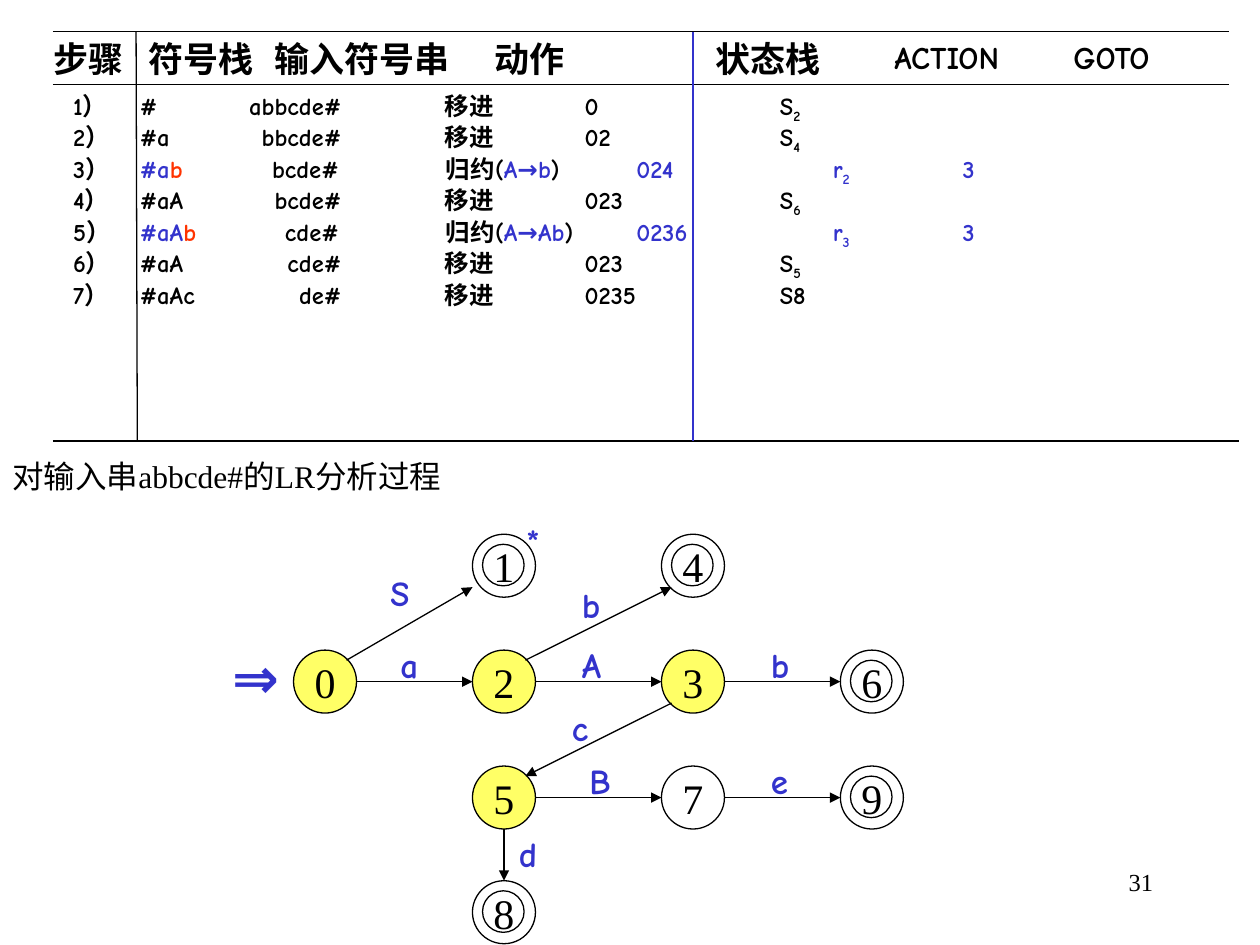
from pptx import Presentation
from pptx.dml.color import RGBColor
from pptx.enum.shapes import MSO_CONNECTOR, MSO_SHAPE
from pptx.enum.text import MSO_ANCHOR, MSO_AUTO_SIZE, PP_ALIGN
from pptx.oxml.ns import qn
from pptx.util import Inches, Pt
from lxml.etree import SubElement

COLORS = {"black": "000000", "blue": "3333CC", "red": "FF3300", "yellow": "FFFF66"}
SERIF, COMIC = "Times New Roman", "Comic Neue"

prs = Presentation()
prs.slide_width, prs.slide_height = Inches(10), Inches(7.5)
s = prs.slides.add_slide(prs.slide_layouts[6])


def add_text(box, runs, size, font=COMIC, bold=True, wrap=True):
    """Add a text box; runs are (text, colour, is subscript)."""
    tf = s.shapes.add_textbox(*map(Inches, box)).text_frame
    tf.word_wrap = wrap
    tf.auto_size = MSO_AUTO_SIZE.SHAPE_TO_FIT_TEXT
    for text, color, sub in runs:
        r = tf.paragraphs[0].add_run()
        r.text = text
        for name, value in {"name": font, "size": Pt(size), "bold": bold}.items():
            setattr(r.font, name, value)
        r.font.color.rgb = RGBColor.from_string(COLORS[color])
        if sub:
            r.font._element.set("baseline", "-25000")
    return tf


def add_line(x1, y1, x2, y2, color="black", arrow=False):
    c = s.shapes.add_connector(MSO_CONNECTOR.STRAIGHT, *map(Inches, (x1, y1, x2, y2)))
    c.line.color.rgb = RGBColor.from_string(COLORS[color])
    c.line.width = Pt(0.75)
    if arrow:
        SubElement(c.line._get_or_add_ln(), qn("a:tailEnd"), type="triangle")
    SubElement(c._element.spPr, qn("a:effectLst"))


# Ruled lines of the parsing table
for y, right in [(0.25, 9.75), (0.67, 9.75), (3.5, 9.83)]:
    add_line(0.42, y, right, y)
add_line(1.08, 0.25, 1.09, 3.5)
add_line(5.5, 0.25, 5.5, 3.5, "blue")

# Column headings
for text, x, w in [("步骤", 0.33, 0.83), ("符号栈", 1.08, 1.17), ("输入符号串", 2.08, 1.67),
                   ("动作", 3.83, 0.83), ("状态栈", 5.58, 1.17)]:
    add_text((x, 0.25, w, 0.43), [(text, "black", False)], 20, SERIF)
for text, x, w in [("ACTION", 7, 1.33), ("GOTO", 8.42, 1.17)]:
    add_text((x, 0.25, w, 0.4), [(text, "black", False)], 18)

# Parsing steps: stack, top to be reduced, input, production, states, action, index, goto
STEPS = [
    ("#", "", "abbcde#", "", "0", "S", "2", ""),
    ("#a", "", "bbcde#", "", "02", "S", "4", ""),
    ("#a", "b", "bcde#", "A→b", "024", "r", "2", "3"),
    ("#aA", "", "bcde#", "", "023", "S", "6", ""),
    ("#aA", "b", "cde#", "A→Ab", "0236", "r", "3", "3"),
    ("#aA", "", "cde#", "", "023", "S", "5", ""),
    ("#aAc", "", "de#", "", "0235", "S8", "", ""),
]
SHIFT_TABS = [(0.53, "l"), (2.13, "r"), (2.95, "l"), (4.06, "l"), (5.61, "l")]
REDUCE_TABS = [(0.53, "l"), (2.11, "r"), (2.96, "l"), (4.47, "l"), (6.03, "l"), (7.06, "l")]

for i, (stack, top, source, rule, states, action, index, goto) in enumerate(STEPS):
    if rule:
        tabs = REDUCE_TABS
        runs = [(f"{i + 1}）\t", "black", False), (stack, "blue", False), (top, "red", False),
                (f"\t{source}\t归约(", "black", False), (rule, "blue", False),
                (")\t", "black", False), (f"{states}\t{action}", "blue", False),
                (index, "blue", True), (f"\t{goto}", "blue", False)]
    else:
        tabs = SHIFT_TABS
        runs = [(f"{i + 1}）\t{stack}\t{source}\t移进\t{states}\t{action}", "black", False)]
        if index:
            runs.append((index, "black", True))
    tf = add_text((0.42, 0.67 + 0.25 * i, 9.33, 0.33), runs, 14)
    tf.margin_left = Inches(0.16)
    tab_list = SubElement(tf.paragraphs[0]._p.get_or_add_pPr(), qn("a:tabLst"))
    for pos, align in tabs:
        SubElement(tab_list, qn("a:tab"), pos=str(Inches(pos)), algn=align)

# Caption and page number
add_text((0, 3.58, 3.83, 0.4), [("对输入串abbcde#的LR分析过程", "black", False)], 18, SERIF, False)
tf = add_text((7.17, 6.83, 2.08, 0.5), [("31", "black", False)], 14, SERIF, False)
tf.auto_size = MSO_AUTO_SIZE.NONE
tf.paragraphs[0].alignment = PP_ALIGN.RIGHT

# Automaton states: column, row; accepting states get an inner ring
COLS = [2.33, 3.75, 5.25, 6.67]
ROWS = [4.24, 5.16, 6.08, 6.99]
STATES = {"0": (0, 1), "1": (1, 0), "2": (1, 1), "3": (2, 1), "4": (2, 0),
          "5": (1, 2), "6": (3, 1), "7": (2, 2), "8": (1, 3), "9": (3, 2)}
VISITED, ACCEPTING = "0235", "14689"

for state, (col, row) in STATES.items():
    x, y = COLS[col], ROWS[row]
    circles = [(x, y, 0.5, state)]
    if state in ACCEPTING:
        circles.append((x + 0.08, y + 0.08, 0.33, ""))
    for left, top, size, label in circles:
        sp = s.shapes.add_shape(MSO_SHAPE.OVAL, *map(Inches, (left, top, size, size)))
        sp.shadow.inherit = False
        sp.line.color.rgb = RGBColor.from_string(COLORS["black"])
        sp.line.width = Pt(0.75)
        if state in VISITED:
            sp.fill.solid()
            sp.fill.fore_color.rgb = RGBColor.from_string(COLORS["yellow"])
        else:
            sp.fill.background()
        if label:
            tf = sp.text_frame
            tf.word_wrap = False
            tf.vertical_anchor = MSO_ANCHOR.MIDDLE
            p = tf.paragraphs[0]
            p.alignment = PP_ALIGN.CENTER
            r = p.add_run()
            r.text = label
            for name, value in {"name": SERIF, "size": Pt(24)}.items():
                setattr(r.font, name, value)
            r.font.color.rgb = RGBColor.from_string(COLORS["black"])

# Transitions
for x1, y1, x2, y2 in [
    (2.83, 5.41, 3.75, 5.41), (4.25, 5.41, 5.25, 5.41), (5.75, 5.41, 6.67, 5.41),
    (4.25, 6.33, 5.25, 6.33), (5.75, 6.33, 6.67, 6.33), (2.75, 5.24, 3.75, 4.66),
    (4.17, 5.24, 5.33, 4.66), (5.33, 5.58, 4.17, 6.16), (4, 6.58, 4, 6.99),
]:
    add_line(x1, y1, x2, y2, arrow=True)

# Transition labels, accept mark and start arrow
for text, x, y, w in [
    ("S", 3, 4.49, 0.39), ("a", 3.08, 5.06, 0.36), ("b", 4.52, 4.58, 0.37),
    ("A", 4.52, 5.06, 0.4), ("b", 6.02, 5.06, 0.37), ("c", 4.44, 5.56, 0.34),
    ("B", 4.58, 5.98, 0.38), ("e", 6.02, 5.98, 0.36), ("d", 4.02, 6.56, 0.36),
    ("*", 4.08, 4.07, 0.35),
]:
    add_text((x, y, w, 0.43), [(text, "blue", False)], 20, wrap=False)
add_text((1.75, 5.05, 0.64, 0.63), [("⇒", "blue", False)], 32, wrap=False)

prs.save("out.pptx")
